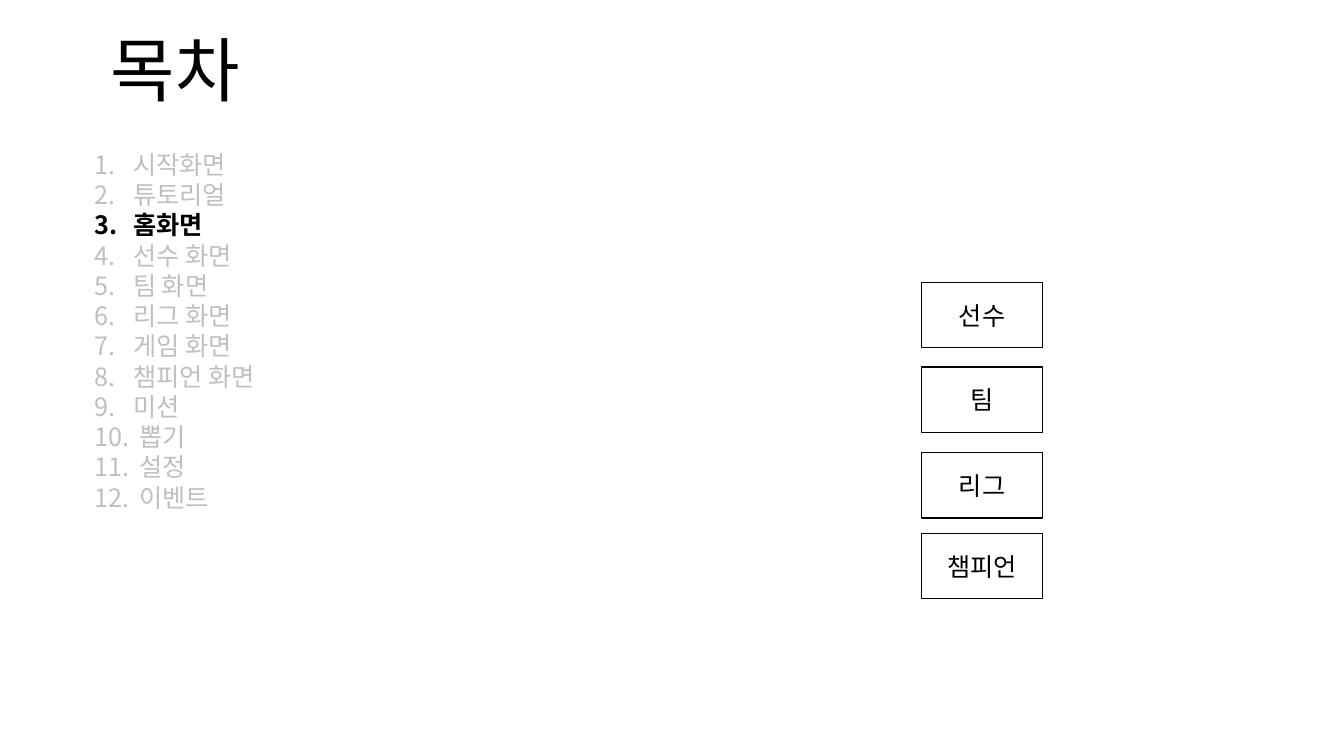
from pptx import Presentation
from pptx.dml.color import RGBColor
from pptx.enum.shapes import MSO_SHAPE
from pptx.enum.text import MSO_ANCHOR, PP_ALIGN
from pptx.oxml.ns import qn
from pptx.util import Inches, Pt
from lxml import etree

TITLE = "목차"
CONTENTS = ["시작화면", "튜토리얼", "홈화면", "선수 화면", "팀 화면", "리그 화면",
            "게임 화면", "챔피언 화면", "미션", "뽑기", "설정", "이벤트"]
CURRENT = "홈화면"
BUTTONS = [("선수", 2.8), ("팀", 3.64), ("리그", 4.49), ("챔피언", 5.29)]  # label, top

FONT = "Noto Sans CJK KR"
BLACK = RGBColor(0x00, 0x00, 0x00)
WHITE = RGBColor(0xFF, 0xFF, 0xFF)
GRAY = RGBColor(0xBF, 0xBF, 0xBF)
RECT = MSO_SHAPE.RECTANGLE
LEFT, CENTER = PP_ALIGN.LEFT, PP_ALIGN.CENTER
TOP, MIDDLE, BOTTOM = MSO_ANCHOR.TOP, MSO_ANCHOR.MIDDLE, MSO_ANCHOR.BOTTOM

BUTTON_LEFT, BUTTON_W, BUTTON_H = 9.14, 1.2, 0.65
INDENT, WIDE_INDENT = 0.38, 0.44  # one-digit and two-digit numbers


def write(p, text, size=18, color=BLACK, bold=False, align=CENTER, spacing=1.0):
    p.alignment, p.line_spacing, p.space_before = align, spacing, Pt(0)
    r = p.add_run()
    r.text = text
    r.font.name, r.font.size, r.font.bold = FONT, Pt(size), bold
    r.font.color.rgb = color
    etree.SubElement(r.font._element, qn("a:ea")).set("typeface", FONT)


def number(p, indent):
    """Give the paragraph an automatic number with a hanging indent."""
    pPr = p._p.get_or_add_pPr()
    pPr.set("marL", str(Inches(indent)))
    pPr.set("indent", str(-Inches(indent)))
    etree.SubElement(pPr, qn("a:buFont")).set("typeface", "+mj-lt")
    etree.SubElement(pPr, qn("a:buAutoNum")).set("type", "arabicPeriod")


def place(sp, left, top, width, height, anchor):
    sp.left, sp.top = Inches(left), Inches(top)
    sp.width, sp.height = Inches(width), Inches(height)
    sp.text_frame.vertical_anchor = anchor


prs = Presentation()
prs.slide_width, prs.slide_height = Inches(13.33), Inches(7.5)
s = prs.slides.add_slide(prs.slide_layouts[1])

title, body = s.placeholders
place(title, 0, 0, 3.48, 1.16, BOTTOM)
write(title.text_frame.paragraphs[0], TITLE, size=50, spacing=0.9)

place(body, 0.84, 1.43, 3.89, 3.74, TOP)
tf = body.text_frame
for i, item in enumerate(CONTENTS):
    p = tf.add_paragraph() if i else tf.paragraphs[0]
    number(p, INDENT if i < 9 else WIDE_INDENT)
    current = item == CURRENT
    write(p, item, color=BLACK if current else GRAY, bold=current, align=LEFT)

for label, top in BUTTONS:
    sp = s.shapes.add_shape(RECT, 0, 0, 0, 0)
    place(sp, BUTTON_LEFT, top, BUTTON_W, BUTTON_H, MIDDLE)
    sp.shadow.inherit = False
    sp.fill.solid()
    sp.fill.fore_color.rgb = WHITE
    sp.line.color.rgb, sp.line.width = BLACK, Pt(1)
    write(sp.text_frame.paragraphs[0], label)

prs.save("out.pptx")
